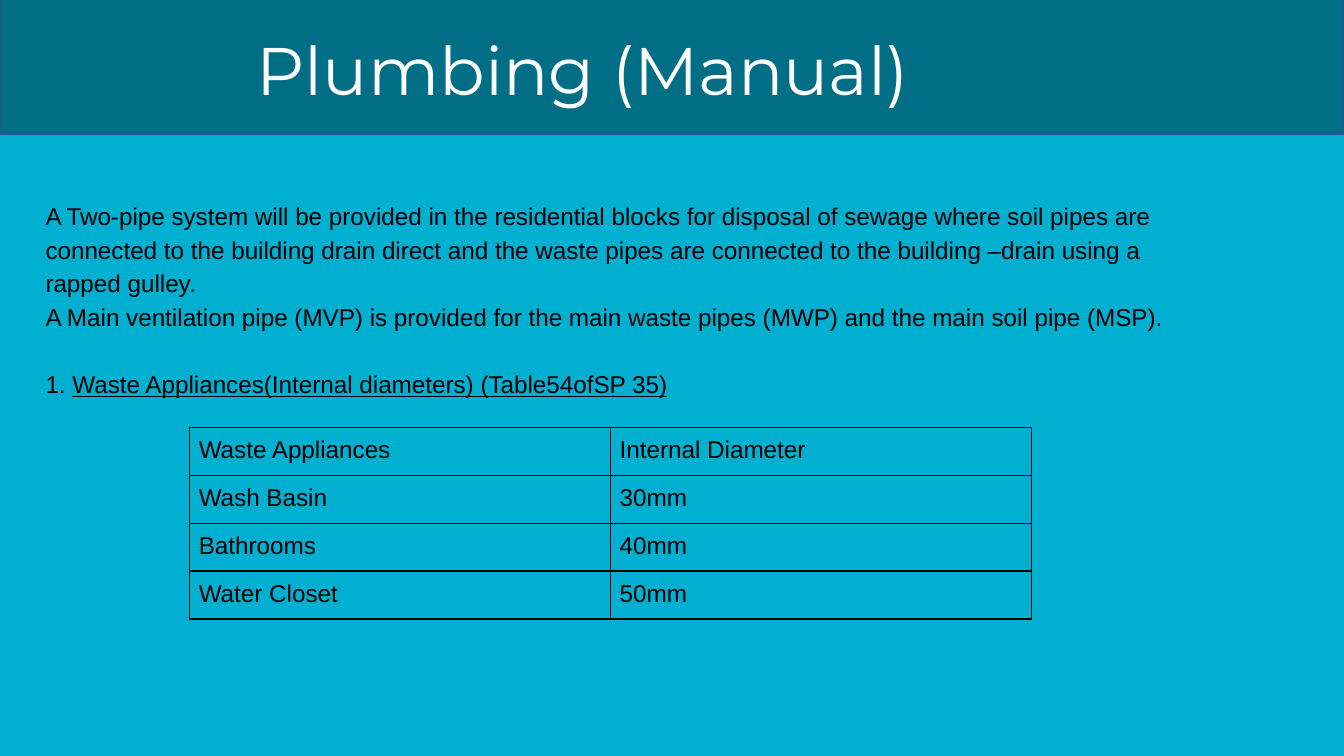
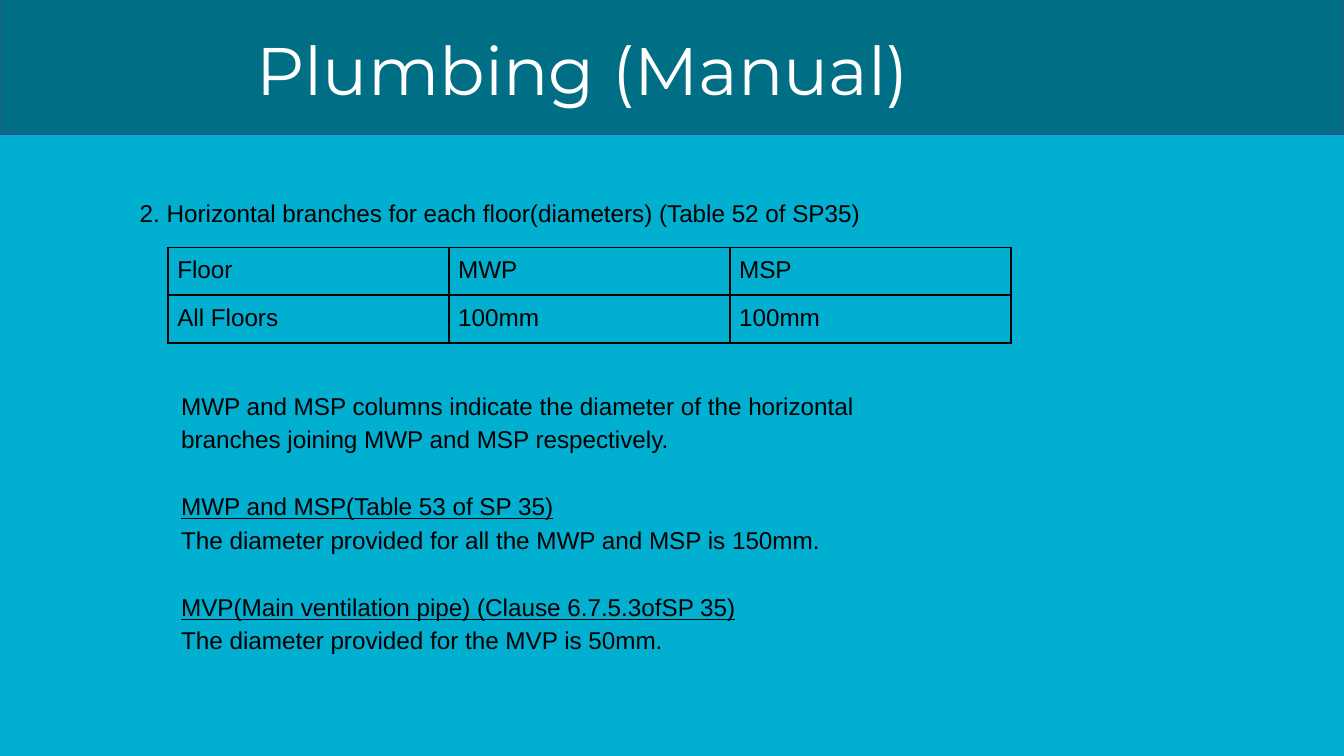
from lxml.etree import SubElement
from pptx import Presentation
from pptx.dml.color import RGBColor
from pptx.enum.text import MSO_ANCHOR, MSO_AUTO_SIZE, PP_ALIGN
from pptx.oxml.ns import qn
from pptx.util import Pt

COLORS = {"background": "01AFD1", "band": "006F85", "band_line": "2E528F",
          "title": "FFFFFF", "text": "000000"}
TITLE = "Plumbing (Manual)"
TITLE_FONT = {"name": "Montserrat", "size": Pt(36)}
BODY_FONT = {"name": "Arial", "size": Pt(13)}
WIDTH, HEIGHT, BAND_HEIGHT = 720, 405, 72
ROW_HEIGHT, CELL_INSET = 25.7, 5
LINE = 18  # height of one body line, also the gap between blocks

# Each block is a list of paragraphs, each paragraph a list of (text, underlined).
# Insets are left, top, right, bottom.
SLIDES = [
    {
        "title_height": 106,
        "table": {"at": (101.5, 229), "column": 225.5, "rows": [
            ("Waste Appliances", "Internal Diameter"),
            ("Wash Basin", "30mm"),
            ("Bathrooms", "40mm"),
            ("Water Closet", "50mm"),
        ]},
        "texts": [
            {"box": (17.3, 72, 620.6, 193), "insets": (7.2, 7.2, 7.2, 7.2 + LINE),
             "anchor": MSO_ANCHOR.MIDDLE, "blocks": [
                [[("A Two-pipe system will be provided in the residential blocks for "
                   "disposal of sewage where soil pipes are connected to the building "
                   "drain direct and the waste pipes are connected to the building "
                   "–drain using a rapped gulley.", False)],
                 [("A Main ventilation pipe (MVP) is provided for the main waste pipes "
                   "(MWP) and the main soil pipe (MSP).", False)]],
                [[("1. ", False),
                  ("Waste Appliances(Internal diameters) (Table54ofSP 35)", True)]],
             ]},
        ],
    },
    {
        "title_height": 62,
        "table": {"at": (90, 132.5), "column": 150.5, "rows": [
            ("Floor", "MWP", "MSP"),
            ("All Floors", "100mm", "100mm"),
        ]},
        "texts": [
            {"box": (74.9, 99.4, 413.3, 38), "insets": (0, 4.5, 0, 0),
             "anchor": MSO_ANCHOR.TOP, "blocks": [
                [[("2. Horizontal branches for each floor(diameters) "
                   "(Table 52 of SP35)", False)]],
             ]},
            {"box": (90, 152, 413.3, 236),
             "insets": (7.2, 7.2 + 2 * LINE, 7.2, 7.2 + LINE),
             "anchor": MSO_ANCHOR.MIDDLE, "blocks": [
                [[("MWP and MSP columns indicate the diameter of the horizontal "
                   "branches joining MWP and MSP respectively.", False)]],
                [[("MWP and MSP(Table 53 of SP 35)", True)],
                 [("The diameter provided for all the MWP and MSP is 150mm.", False)]],
                [[("MVP(Main ventilation pipe) (Clause 6.7.5.3ofSP 35)", True)],
                 [("The diameter provided for the MVP is 50mm.", False)]],
             ]},
        ],
    },
]


def rgb(name):
    return RGBColor.from_string(COLORS[name])


def set_attrs(target, values):
    for name, value in values.items():
        setattr(target, name, value)


def set_insets(target, insets):
    sides = ("margin_left", "margin_top", "margin_right", "margin_bottom")
    set_attrs(target, dict(zip(sides, map(Pt, insets))))


def place(sp, box):
    set_attrs(sp, dict(zip(("left", "top", "width", "height"), map(Pt, box))))


def add_run(p, text, font, color, underline=None):
    r = p.add_run()
    r.text = text
    set_attrs(r.font, {**font, "underline": underline})
    r.font.color.rgb = rgb(color)


def add_band(s):
    """Draw the header band, outlined on all sides but the top, behind the title."""
    builder = s.shapes.build_freeform(0, 0, scale=Pt(1))
    builder.add_line_segments(
        [(0, BAND_HEIGHT), (WIDTH, BAND_HEIGHT), (WIDTH, 0)], close=False)
    sp = builder.convert_to_shape()
    sp.shadow.inherit = False
    sp.fill.solid()
    sp.fill.fore_color.rgb = rgb("band")
    sp.line.color.rgb = rgb("band_line")
    sp.line.width = Pt(1)
    s.shapes.title.element.addprevious(sp.element)


def format_title(s, height):
    sp = s.shapes.title
    place(sp, (22.3, -2.9, 671, height))
    tf = sp.text_frame
    set_insets(tf, (0, 18, 0, 0))
    set_attrs(tf, {"vertical_anchor": MSO_ANCHOR.TOP, "word_wrap": True,
                   "auto_size": MSO_AUTO_SIZE.SHAPE_TO_FIT_TEXT})
    p = tf.paragraphs[0]
    p.alignment = PP_ALIGN.LEFT
    pPr = p._p.get_or_add_pPr()
    pPr.set("marL", str(Pt(115.2)))
    pPr.set("indent", "0")
    add_run(p, TITLE, TITLE_FONT, "title")


def add_text(s, box, insets, anchor, blocks):
    tf = s.shapes.add_textbox(*map(Pt, box)).text_frame
    set_insets(tf, insets)
    set_attrs(tf, {"word_wrap": True, "vertical_anchor": anchor})
    p = None
    for block in blocks:
        for i, runs in enumerate(block):
            gap = LINE if p is not None and i == 0 else 0
            p = tf.paragraphs[0] if p is None else tf.add_paragraph()
            set_attrs(p, {"line_spacing": 1.15, "space_before": Pt(gap)})
            for text, underlined in runs:
                add_run(p, text, BODY_FONT, "text", underlined or None)


def add_borders(cell):
    tcPr = cell._tc.get_or_add_tcPr()
    for i, side in enumerate(("a:lnL", "a:lnR", "a:lnT", "a:lnB")):
        ln = SubElement(tcPr, qn(side), w=str(Pt(1)))
        fill = SubElement(ln, qn("a:solidFill"))
        SubElement(fill, qn("a:srgbClr"), val=COLORS["text"])
        tcPr.insert(i, ln)


def add_table(s, at, column, rows):
    n_rows, n_cols = len(rows), len(rows[0])
    size = (column * n_cols, ROW_HEIGHT * n_rows)
    table = s.shapes.add_table(n_rows, n_cols, *map(Pt, at + size)).table
    set_attrs(table, {"first_row": False, "horz_banding": False})
    for row, values in zip(table.rows, rows):
        for cell, value in zip(row.cells, values):
            set_insets(cell, (CELL_INSET,) * 4)
            cell.fill.background()
            add_borders(cell)
            add_run(cell.text_frame.paragraphs[0], value, BODY_FONT, "text")


def main():
    prs = Presentation()
    prs.slide_width, prs.slide_height = Pt(WIDTH), Pt(HEIGHT)
    fill = prs.slide_master.background.fill
    fill.solid()
    fill.fore_color.rgb = rgb("background")
    for content in SLIDES:
        s = prs.slides.add_slide(prs.slide_layouts.get_by_name("Title Only"))
        add_band(s)
        format_title(s, content["title_height"])
        add_table(s, **content["table"])
        for text in content["texts"]:
            add_text(s, **text)
    prs.save("out.pptx")


if __name__ == "__main__":
    main()
